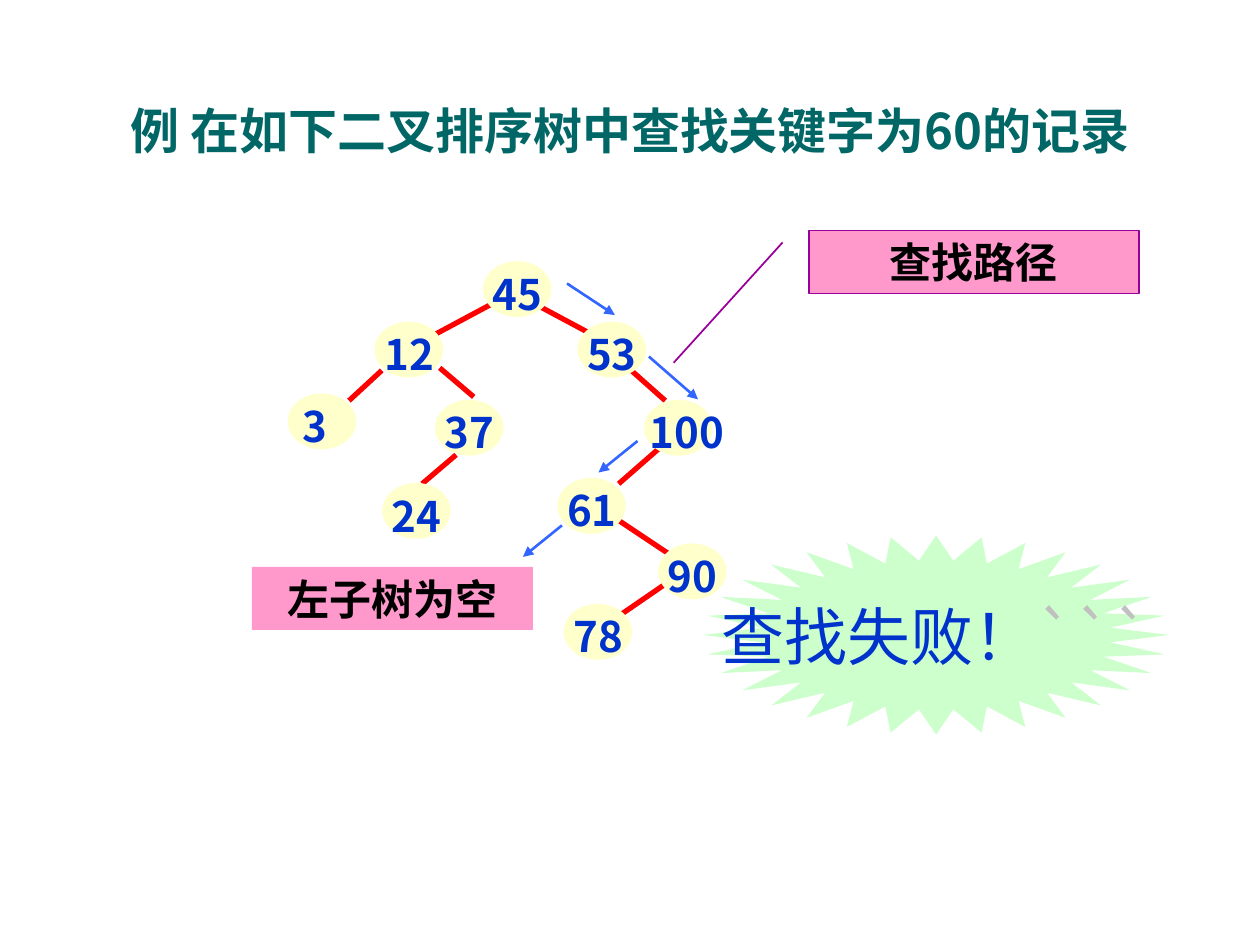
import math

import pptx
import pptx.util
import pptx.dml.color
import pptx.enum.shapes
import pptx.enum.text
import pptx.oxml
import pptx.oxml.ns

Inches = pptx.util.Inches
RGB = pptx.dml.color.RGBColor
SHAPE = pptx.enum.shapes.MSO_SHAPE
LINE = pptx.enum.shapes.MSO_CONNECTOR.STRAIGHT
ALIGN = pptx.enum.text.PP_ALIGN
ANCHOR = pptx.enum.text.MSO_ANCHOR

TEAL = RGB(0x00, 0x66, 0x66)
RED = RGB(0xFF, 0x00, 0x00)
CREAM = RGB(0xFF, 0xFF, 0xCC)
NAVY = RGB(0x00, 0x33, 0xCC)
BLUE = RGB(0x33, 0x66, 0xFF)
GREEN = RGB(0xCC, 0xFF, 0xCC)
GRAY = RGB(0xC0, 0xC0, 0xC0)
PINK = RGB(0xFF, 0x99, 0xCC)
PLUM = RGB(0x99, 0x00, 0x99)
BLACK = RGB(0x00, 0x00, 0x00)
JP = "Noto Sans CJK JP"
SC = "Noto Sans CJK SC"

NODES = [
    ("45", 1.55, 0), ("53", 2.3, 0.48), ("100", 2.83, 1.1), ("61", 2.14, 1.72),
    ("90", 2.94, 2.24), ("78", 2.19, 2.72), ("12", 0.69, 0.48), ("3", 0, 1.05),
    ("37", 1.17, 1.1), ("24", 0.75, 1.76),
]
INSETS = {"100": 0.1, "3": 0.17}
EDGES = [
    (1.17, 0.57, 1.6, 0.34), (1.97, 0.34, 2.4, 0.57), (2.72, 0.86, 2.99, 1.1),
    (2.94, 1.48, 2.62, 1.76), (3.04, 2.33, 2.62, 2.05), (3.1, 2.48, 2.62, 2.81),
    (1.2, 0.84, 1.47, 1.07), (0.74, 0.86, 0.48, 1.1), (1.33, 1.53, 1.06, 1.76),
]
STEPS = [
    (2.21, 0.17, 2.59, 0.42), (2.77, 1.42, 2.46, 1.67),
    (2.86, 0.75, 3.25, 1.09), (2.17, 2.09, 1.86, 2.34),
]


def add_tag(parent, tag, **attrs):
    """Append an empty drawing element with the given attributes."""
    node = pptx.oxml.parse_xml(f"<{tag} {pptx.oxml.ns.nsdecls('a')}/>")
    for key, value in attrs.items():
        node.set(key, value)
    parent.append(node)


def set_font(para, face, size, color, bold=True):
    """Set the paragraph font for Latin and East Asian text."""
    font = para.font
    font.name, font.size, font.bold = face, pptx.util.Pt(size), bold
    if color is not None:
        font.color.rgb = color
    add_tag(para._p.pPr.defRPr, "a:ea", typeface=face)


def paint(shape, fill, line=None):
    """Give a shape a flat fill and an optional thin outline."""
    shape.shadow.inherit = False
    shape.fill.solid()
    shape.fill.fore_color.rgb = fill
    if line is None:
        shape.line.fill.background()
    else:
        shape.line.color.rgb = line
        shape.line.width = pptx.util.Pt(1)


def add_text(shapes, box, text, face, size, color):
    """Add a wrapping text box and return it."""
    label = shapes.add_textbox(*map(Inches, box))
    label.text_frame.word_wrap = True
    para = label.text_frame.paragraphs[0]
    para.text = text
    set_font(para, face, size, color)
    return label


def add_line(shapes, left, top, ends, color, width, arrow=False):
    """Draw a straight line between ends given from the box corner."""
    x1, y1, x2, y2 = ends
    line = shapes.add_connector(LINE, Inches(left + x1), Inches(top + y1),
                                Inches(left + x2), Inches(top + y2))
    line.line.color.rgb = color
    line.line.width = pptx.util.Pt(width)
    if arrow:
        add_tag(line.line._get_or_add_ln(), "a:tailEnd", type="triangle")
    add_tag(line._element.spPr, "a:effectLst")


def add_title(slide, box):
    """Place the centred heading."""
    title = add_text(slide.shapes, box, "例 在如下二叉排序树中查找关键字为60的记录", JP, 28, TEAL)
    title.text_frame.paragraphs[0].alignment = ALIGN.CENTER


def add_tree(slide, left, top):
    """Draw the search tree and the steps of the search path."""
    shapes = slide.shapes.add_group_shape().shapes
    for ends in EDGES:
        add_line(shapes, left, top, ends, RED, 3)
    for key, x, y in NODES:
        oval = shapes.add_shape(SHAPE.OVAL, Inches(left + x), Inches(top + y),
                                Inches(0.53), Inches(0.43))
        paint(oval, CREAM, CREAM)
        box = (left + x - 0.06, top + y, 0.99 if len(key) > 2 else 0.75, 0.5)
        label = add_text(shapes, box, key, SC, 24, NAVY)
        label.text_frame.margin_left = Inches(INSETS.get(key, 0.13))
    for ends in STEPS:
        add_line(slide.shapes, left, top, ends, BLUE, 1.5, arrow=True)


def add_burst(slide, left, top, width, height):
    """Draw the 32-point burst with the search result."""
    points = []
    for i in range(64):
        angle = math.pi * (1 + i / 32)
        reach = 0.75 if i % 2 else 1
        points.append((Inches(left + width / 2 * (1 + reach * math.cos(angle))),
                       Inches(top + height / 2 * (1 + reach * math.sin(angle)))))
    path = slide.shapes.build_freeform(*points[0])
    path.add_line_segments(points[1:], close=True)
    burst = path.convert_to_shape()
    paint(burst, GREEN)
    frame = burst.text_frame
    frame.word_wrap = False
    frame.vertical_anchor = ANCHOR.MIDDLE
    para = frame.paragraphs[0]
    para.alignment = ALIGN.CENTER
    for text, color in (("查找失败！", NAVY), ("```", GRAY)):
        run = para.add_run()
        run.text = text
        run.font.color.rgb = color
    set_font(para, SC, 36, None, bold=False)


def add_note(slide, kind, box, text, line=None):
    """Place a pink note and return its shape."""
    note = slide.shapes.add_shape(kind, *map(Inches, box))
    paint(note, PINK, line)
    note.text_frame.word_wrap = True
    note.text_frame.vertical_anchor = ANCHOR.TOP
    para = note.text_frame.paragraphs[0]
    para.text = text
    para.alignment = ALIGN.CENTER
    set_font(para, JP, 24, BLACK)
    return note


def main():
    """Build and save the slide."""
    deck = pptx.Presentation()
    deck.slide_width, deck.slide_height = Inches(10), Inches(7.5)
    slide = deck.slides.add_slide(deck.slide_layouts[6])
    add_title(slide, (0.33, 0.75, 9.34, 1.25))
    add_tree(slide, 2.29, 2.08)
    add_burst(slide, 5.58, 4.25, 3.7, 1.58)
    call = add_note(slide, SHAPE.LINE_CALLOUT_1, (6.42, 1.83, 2.62, 0.5), "查找路径", PLUM)
    for i, value in enumerate((0.19, -0.08, 2.1, -0.41)):
        call.adjustments[i] = value
    add_note(slide, SHAPE.RECTANGLE, (2, 4.5, 2.23, 0.5), "左子树为空")
    deck.save("out.pptx")


if __name__ == "__main__":
    main()
